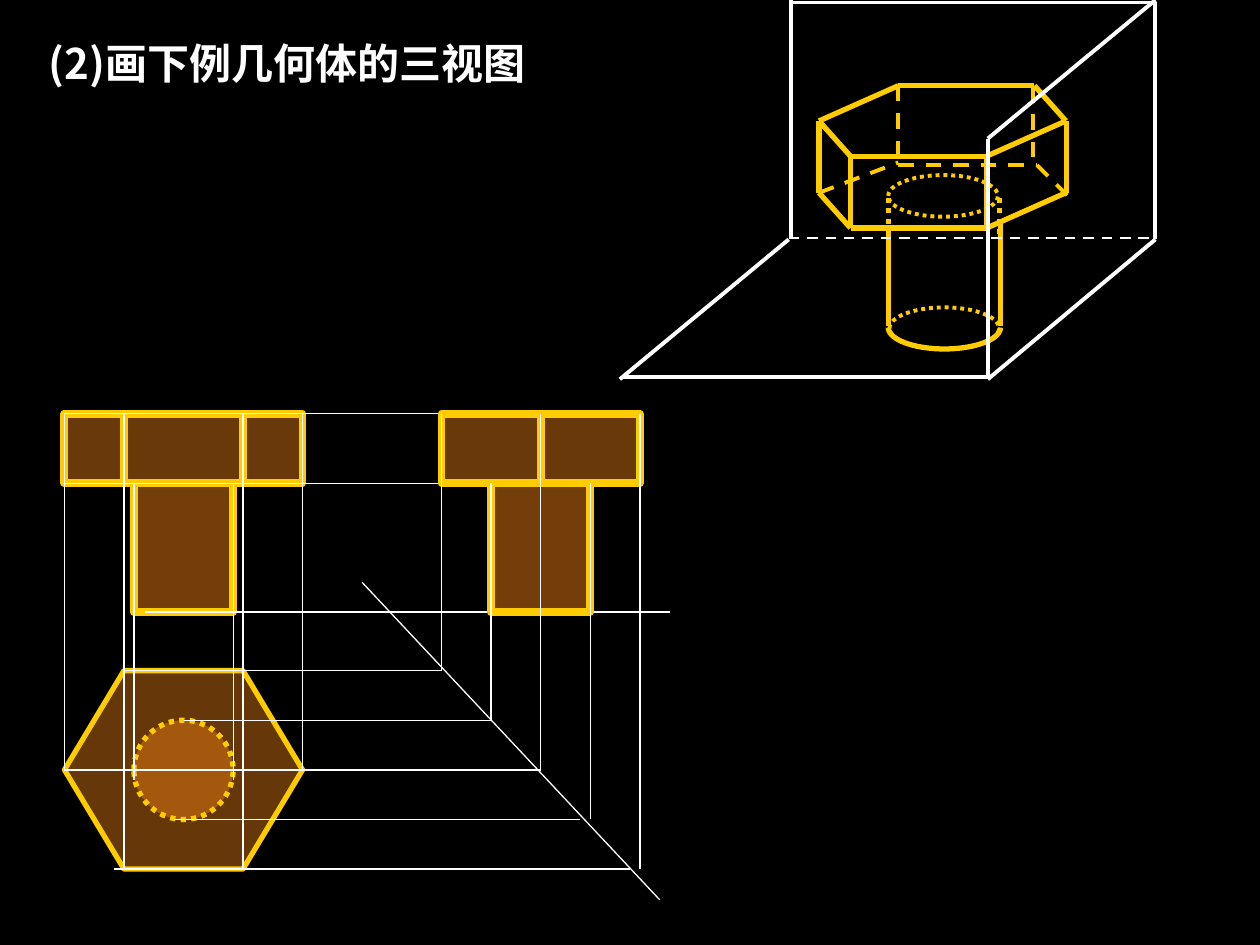
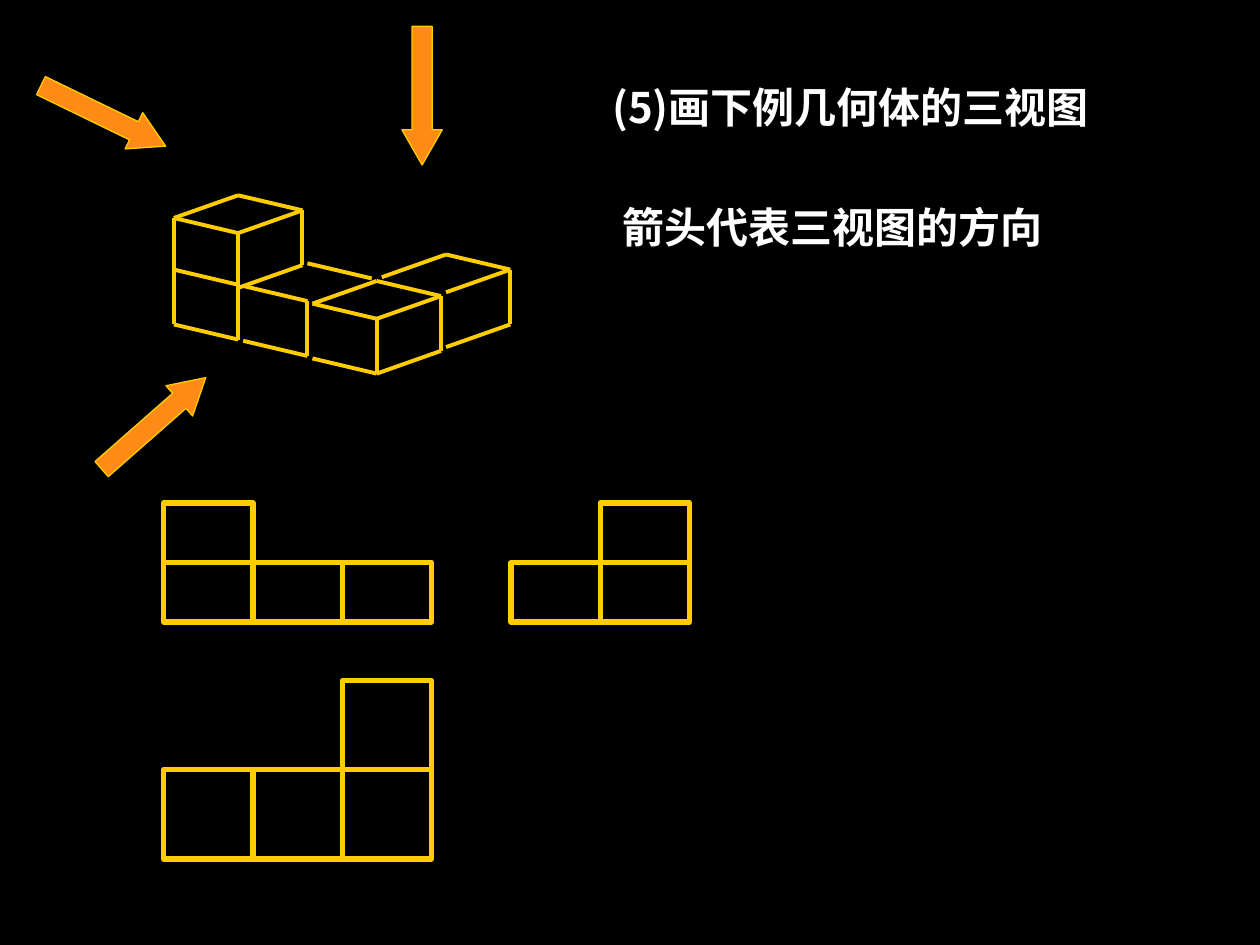
"""Build two slides on drawing the three views of solid bodies."""
import math
from dataclasses import dataclass
from itertools import pairwise
from typing import NamedTuple, Optional

import pptx
import pptx.dml.color
import pptx.enum.dml
import pptx.enum.shapes
import pptx.enum.text
import pptx.oxml
import pptx.oxml.ns
import pptx.util
from lxml import etree

SHAPE = pptx.enum.shapes.MSO_SHAPE
DASH = pptx.enum.dml.MSO_LINE
WIDTH = pptx.util.Inches(10)
HEIGHT = pptx.util.Inches(7.5)

Point = tuple[float, float]


@dataclass(frozen=True)
class Theme:
    """Colours, fonts and type size of both slides."""
    background: str = "000000"
    text: str = "FFFFFF"
    outline: str = "FFCC00"
    body: str = "FF8B17"
    title_font: str = "Noto Sans CJK SC"
    note_font: str = "Montserrat"
    size: int = 24


THEME = Theme()


class Stroke(NamedTuple):
    """Colour, width in points and dash of a line."""
    color: str
    width: float
    dash: Optional[DASH] = None


@dataclass(frozen=True)
class Grid:
    """Square grid with a number of columns across the slide."""
    columns: int

    def emu(self, cells: float) -> int:
        """Turn a number of cells into a slide length."""
        return round(cells * WIDTH / self.columns)


class Box(NamedTuple):
    """Left, top, width and height in grid cells."""
    left: float
    top: float
    width: float
    height: float


class Solid(NamedTuple):
    """Filled preset shape of a view."""
    kind: SHAPE
    box: Box
    stroke: Stroke
    opacity: Optional[int] = None
    adjustments: tuple[float, ...] = ()
    rotation: float = 0


class Cube(NamedTuple):
    """Left top corner of a cube and the edges that can be seen."""
    corner: Point
    edges: str


class Caption(NamedTuple):
    """Line of text with its place and font."""
    text: str
    box: Box
    font: str


DRAFT = Grid(127)
FINE = Grid(1000)

THICK = Stroke(THEME.outline, 4.5)
EDGE = Stroke(THEME.outline, 3)
EDGE_DOT = Stroke(THEME.outline, 3, DASH.ROUND_DOT)
CUBE_EDGE = Stroke(THEME.outline, 2.25)
HIDDEN = Stroke(THEME.outline, 2.25, DASH.DASH)
RIM = Stroke(THEME.outline, 2.25, DASH.ROUND_DOT)
ARROW_EDGE = Stroke(THEME.outline, 0.75)
GUIDE = Stroke(THEME.text, 0.75)
PLANE = Stroke(THEME.text, 2.25)
PLANE_FOLD = Stroke(THEME.text, 1.5, DASH.DASH)

HEAD_TOP, HEAD_BOTTOM, SHANK_BOTTOM = 41.7, 48.7, 61.7
PLAN_ROWS = (67.6, 72.6, 77.6, 82.6, 87.6)
SIDE_COLUMNS = (44.5, 49.5, 54.5, 59.5, 64.5)

FRONT_AND_PLAN = (
    Solid(SHAPE.HEXAGON, Box(6.5, 67.6, 24, 20), EDGE, 40, (0.3,)),
    Solid(SHAPE.OVAL, Box(13.5, 72.6, 10, 10), EDGE_DOT, 40),
    Solid(SHAPE.RECTANGLE, Box(6.5, HEAD_TOP, 24, 7), THICK, 41),
    Solid(SHAPE.RECTANGLE, Box(13.5, HEAD_BOTTOM, 10, 13), THICK, 45),
)
SIDE = (
    Solid(SHAPE.RECTANGLE, Box(49.5, HEAD_BOTTOM, 10, 13), THICK, 45),
    Solid(SHAPE.RECTANGLE, Box(44.5, HEAD_TOP, 20, 7), THICK, 41),
)
FRONT_GUIDES = (
    (6.5, HEAD_TOP, 77.6), (12.5, HEAD_TOP, 87.6), (24.5, HEAD_TOP, 87.6),
    (30.5, HEAD_TOP, 77.6), (13.5, HEAD_BOTTOM, 78.6), (23.5, HEAD_BOTTOM, 78.6),
)
ROW_GUIDES = (
    (HEAD_TOP, 6.5, 64.5), (HEAD_BOTTOM, 6.5, 64.5), (SHANK_BOTTOM, 14.6, 67.5),
    *zip(PLAN_ROWS, (12.5, 18.5, 6.5, 17.5, 11.5), (44.5, 49.5, 54.5, 58.5, 63.5)),
)
SIDE_TOPS = (HEAD_TOP, HEAD_BOTTOM, HEAD_TOP, HEAD_BOTTOM, HEAD_TOP)

BOLT_EDGES = (
    ((713, 68), (821, 68), (846, 96), (783, 124), (675, 124), (650, 96), (713, 68)),
    ((846, 153), (783, 181), (675, 181), (650, 153)),
    ((650, 96), (650, 153)), ((675, 124), (675, 181)),
    ((783, 124), (783, 181)), ((846.5, 96), (846.5, 153)),
    ((705, 184), (705, 259)), ((794, 178), (794, 259)),
)
BOLT_HIDDEN = (
    ((713, 68), (713, 131)), ((650, 153), (713, 129)),
    ((713, 131), (823, 131), (847, 155)), ((820, 69), (820, 132)),
)
PLANES = (
    ((626, 2), (917, 2), (917, 190), (784, 301)),
    ((917, 0), (784, 110), (784, 299)),
    ((628, 0), (628, 189)), ((626, 190), (492, 301)), ((494, 299), (785, 299)),
)

CUBE_RIGHT, CUBE_BACK, CUBE_DROP = (51, 12), (51, -18), 43.5
CUBES = (
    Cube((138, 173), "Rr Ff Ll fr FR LB BR LF"),
    Cube((138, 214), "Ff Ll LF lf"),
    Cube((193, 227), "Ff BR LF lf"),
    Cube((248, 241), "Rr Ff fr FR LB BR LF lf"),
    Cube((303, 220), "Rr fr FR LB BR"),
)
UNIT = 9
VIEWS = (
    (16.5, 50.7, 6, ("X..", "XXX")),
    (51.5, 50.7, 6, (".X", "XX")),
    (16.5, 68.6, 9, ("..X", "XXX")),
)
ARROWS = (((67, 320), 318.7), ((280, 60), 90), ((27, 76), 25.9))

BOLT_TITLE = Caption("(2)画下例几何体的三视图", Box(29, 25, 403, 50), THEME.title_font)
CUBE_CAPTIONS = (
    Caption("箭头代表三视图的方向", Box(484, 155, 391, 50), THEME.note_font),
    Caption("(5)画下例几何体的三视图", Box(476, 60, 469, 50), THEME.title_font),
)


def rgb(color: str) -> pptx.dml.color.RGBColor:
    """Read a hex colour."""
    return pptx.dml.color.RGBColor.from_string(color)


def apply_stroke(line, stroke: Stroke) -> None:
    """Set colour, width and dash of an outline."""
    line.color.rgb = rgb(stroke.color)
    line.width = pptx.util.Pt(stroke.width)
    if stroke.dash is not None:
        line.dash_style = stroke.dash


def draw_path(slide, grid: Grid, points: tuple[Point, ...], stroke: Stroke) -> None:
    """Join each point to the next with a straight line."""
    for start, end in pairwise(points):
        edge = slide.shapes.add_connector(
            pptx.enum.shapes.MSO_CONNECTOR.STRAIGHT,
            *(grid.emu(value) for value in (*start, *end)))
        apply_stroke(edge.line, stroke)
        etree.SubElement(edge._element.spPr, pptx.oxml.ns.qn("a:effectLst"))


def draw_solid(slide, grid: Grid, solid: Solid) -> None:
    """Draw a preset shape, filled only when it has an opacity."""
    body = slide.shapes.add_shape(solid.kind, *map(grid.emu, solid.box))
    body.shadow.inherit = False
    body.rotation = solid.rotation
    for index, value in enumerate(solid.adjustments):
        body.adjustments[index] = value
    if solid.opacity is None:
        body.fill.background()
    else:
        body.fill.solid()
        body.fill.fore_color.rgb = rgb(THEME.body)
        if solid.opacity < 100:
            color = body._element.spPr.find(".//" + pptx.oxml.ns.qn("a:srgbClr"))
            alpha = etree.SubElement(color, pptx.oxml.ns.qn("a:alpha"))
            alpha.set("val", str(solid.opacity * 1000))
    apply_stroke(body.line, solid.stroke)


def draw_lower_rim(slide, center: Point, radii: Point) -> None:
    """Draw the visible lower half of the shank's end."""
    angles = [math.pi * step / 36 for step in range(37)]
    points = [(FINE.emu(center[0] - radii[0] * math.cos(angle)),
               FINE.emu(center[1] + radii[1] * math.sin(angle))) for angle in angles]
    builder = slide.shapes.build_freeform(*points[0])
    builder.add_line_segments(points[1:], close=False)
    rim = builder.convert_to_shape()
    rim.shadow.inherit = False
    rim.fill.background()
    apply_stroke(rim.line, EDGE)


def draw_cube(slide, cube: Cube) -> None:
    """Draw the named edges; capitals are top corners, small letters lie below."""
    left, top = cube.corner
    corners = {
        "L": cube.corner,
        "F": (left + CUBE_RIGHT[0], top + CUBE_RIGHT[1]),
        "B": (left + CUBE_BACK[0], top + CUBE_BACK[1]),
        "R": (left + CUBE_RIGHT[0] + CUBE_BACK[0], top + CUBE_RIGHT[1] + CUBE_BACK[1]),
    }
    corners |= {name.lower(): (x, y + CUBE_DROP) for name, (x, y) in corners.items()}
    for start, end in cube.edges.split():
        draw_path(slide, FINE, (corners[start], corners[end]), CUBE_EDGE)


def write_caption(slide, caption: Caption) -> None:
    """Write bold text that wraps in its box."""
    frame = slide.shapes.add_textbox(*map(FINE.emu, caption.box)).text_frame
    frame.word_wrap = True
    frame.auto_size = pptx.enum.text.MSO_AUTO_SIZE.SHAPE_TO_FIT_TEXT
    paragraph = frame.paragraphs[0]
    paragraph.text = caption.text
    paragraph.font.name = caption.font
    paragraph.font.size = pptx.util.Pt(THEME.size)
    paragraph.font.bold = True
    paragraph.font.color.rgb = rgb(THEME.text)


def add_slide(deck):
    """Add a blank slide with the dark background."""
    slide = deck.slides.add_slide(deck.slide_layouts[6])
    slide.background.fill.solid()
    slide.background.fill.fore_color.rgb = rgb(THEME.background)
    return slide


def build_bolt(deck) -> None:
    """Show a bolt in space and its three views with projection lines."""
    slide = add_slide(deck)
    for solid in FRONT_AND_PLAN:
        draw_solid(slide, DRAFT, solid)
    for x in (12.5, 24.5):
        draw_path(slide, DRAFT, ((x, HEAD_TOP), (x, HEAD_BOTTOM)), THICK)
    for x, top, bottom in FRONT_GUIDES:
        draw_path(slide, DRAFT, ((x, top), (x, bottom)), GUIDE)
    draw_path(slide, DRAFT, ((36.5, 58.7), (66.5, 90.7)), GUIDE)
    for y, left, right in ROW_GUIDES:
        draw_path(slide, DRAFT, ((left, y), (right, y)), GUIDE)
    for solid in SIDE:
        draw_solid(slide, DRAFT, solid)
    draw_path(slide, DRAFT, ((54.5, HEAD_TOP), (54.5, HEAD_BOTTOM)), THICK)
    write_caption(slide, BOLT_TITLE)
    for x, top, bottom in zip(SIDE_COLUMNS, SIDE_TOPS, PLAN_ROWS):
        draw_path(slide, DRAFT, ((x, bottom), (x, top)), GUIDE)
    for points in BOLT_EDGES:
        draw_path(slide, FINE, points, EDGE)
    draw_lower_rim(slide, (749.5, 260), (44.5, 17))
    for points in BOLT_HIDDEN:
        draw_path(slide, FINE, points, HIDDEN)
    for left, top in ((706, 244), (705, 139)):
        draw_solid(slide, FINE, Solid(SHAPE.OVAL, Box(left, top, 87, 33), RIM))
    for x in (793, 705):
        draw_path(slide, FINE, ((x, 186), (x, 155)), EDGE_DOT)
    draw_path(slide, FINE, ((626, 189), (917, 189)), PLANE_FOLD)
    for points in PLANES:
        draw_path(slide, FINE, points, PLANE)


def build_cubes(deck) -> None:
    """Show stacked cubes, the viewing directions and the three views."""
    slide = add_slide(deck)
    for left, top, height, rows in VIEWS:
        for row, cells in enumerate(rows):
            for column, cell in enumerate(cells):
                if cell == "X":
                    box = Box(left + column * UNIT, top + row * height, UNIT, height)
                    draw_solid(slide, DRAFT, Solid(SHAPE.RECTANGLE, box, EDGE))
    for cube in CUBES:
        draw_cube(slide, cube)
    for corner, angle in ARROWS:
        draw_solid(slide, FINE, Solid(SHAPE.RIGHT_ARROW, Box(*corner, 110, 32),
                                      ARROW_EDGE, 100, (0.5, 0.873), angle))
    for caption in CUBE_CAPTIONS:
        write_caption(slide, caption)


def main() -> None:
    """Build and save the deck."""
    deck = pptx.Presentation()
    deck.slide_width, deck.slide_height = WIDTH, HEIGHT
    build_bolt(deck)
    build_cubes(deck)
    deck.save("out.pptx")


if __name__ == "__main__":
    main()
